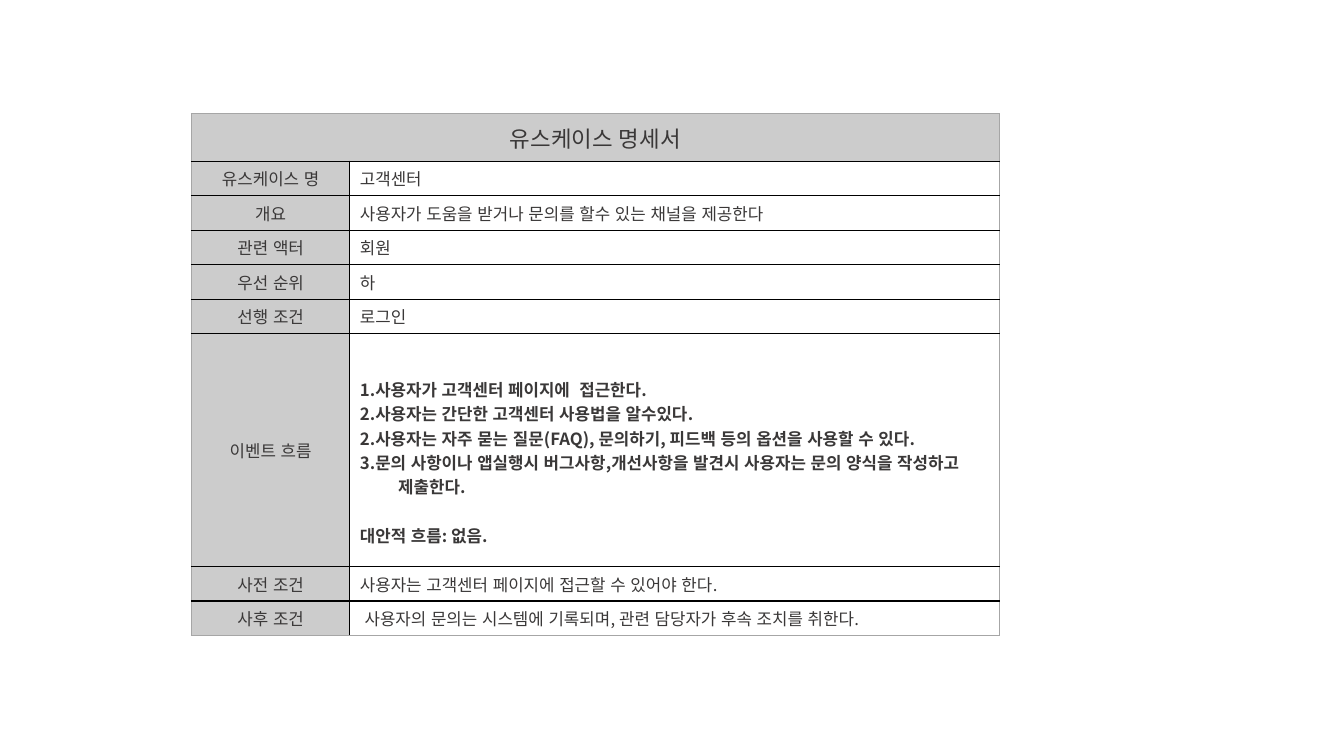
from lxml import etree
from pptx import Presentation
from pptx.dml.color import RGBColor
from pptx.enum.lang import MSO_LANGUAGE_ID
from pptx.enum.text import MSO_ANCHOR, PP_ALIGN
from pptx.oxml.ns import qn
from pptx.util import Inches, Pt

CENTER, LEFT = PP_ALIGN.CENTER, PP_ALIGN.LEFT
MIDDLE = MSO_ANCHOR.MIDDLE
KOREAN = MSO_LANGUAGE_ID.KOREAN

TITLE = "유스케이스 명세서"
EVENT_FLOW = [
    "1.사용자가 고객센터 페이지에  접근한다.",
    "2.사용자는 간단한 고객센터 사용법을 알수있다.",
    "2.사용자는 자주 묻는 질문(FAQ), 문의하기, 피드백 등의 옵션을 사용할 수 있다.",
    "3.문의 사항이나 앱실행시 버그사항,개선사항을 발견시 사용자는 문의 양식을 작성하고 제출한다.",
    "대안적 흐름: 없음.",
]
FIELDS = [
    ("유스케이스 명", "고객센터"),
    ("개요", "사용자가 도움을 받거나 문의를 할수 있는 채널을 제공한다"),
    ("관련 액터", "회원"),
    ("우선 순위", "하"),
    ("선행 조건", "로그인"),
    ("이벤트 흐름", EVENT_FLOW),
    ("사전 조건", "사용자는 고객센터 페이지에 접근할 수 있어야 한다."),
    ("사후 조건", " 사용자의 문의는 시스템에 기록되며, 관련 담당자가 후속 조치를 취한다."),
]

THEME = {
    "font": "Noto Sans CJK KR",
    "text": "3A3838",
    "label_fill": "CCCCCC",
    "value_fill": "FFFFFF",
    "inner_line": "000000",
    "outer_line": "A6A6A6",
    "title_size": 16,
    "body_size": 12,
    "line_gap": 17.4,
}
TABLE_LEFT, TABLE_TOP = 1.9, 1.13
COL_WIDTHS = [1.57, 6.44]
TITLE_HEIGHT, FIELD_HEIGHT, FLOW_HEIGHT = 0.47, 0.34, 2.31
FLOW_INDENT, FLOW_TOP_MARGIN = 0.38, 0.29


def write_line(p, text, align=LEFT, size=THEME["body_size"], bold=False):
    p.alignment = align
    r = p.add_run()
    r.text = text
    style = {"name": THEME["font"], "size": Pt(size), "bold": bold,
             "language_id": KOREAN}
    for name, value in style.items():
        setattr(r.font, name, value)
    r.font.color.rgb = RGBColor.from_string(THEME["text"])
    ea = etree.SubElement(r.font._element, qn("a:ea"))
    ea.set("typeface", THEME["font"])


def write_flow(cell, lines):
    """Numbered steps with hanging indents, then the alternative flow set apart."""
    cell.margin_top = Inches(FLOW_TOP_MARGIN)
    tf = cell.text_frame
    for i, line in enumerate(lines):
        p = tf.paragraphs[0] if i == 0 else tf.add_paragraph()
        write_line(p, line, bold=True)
        pPr = p._p.get_or_add_pPr()
        pPr.set("marL", str(Inches(FLOW_INDENT)))
        pPr.set("indent", str(-Inches(FLOW_INDENT)))
    p.space_before = Pt(THEME["line_gap"])


def style_cell(cell, fill, outer_sides):
    """Borders go before the fill, as the schema orders them."""
    cell.vertical_anchor = MIDDLE
    tcPr = cell._tc.get_or_add_tcPr()
    for side in ("L", "R", "T", "B"):
        color = THEME["outer_line" if side in outer_sides else "inner_line"]
        ln = etree.SubElement(tcPr, qn(f"a:ln{side}"), w=str(Pt(1)))
        solid = etree.SubElement(ln, qn("a:solidFill"))
        etree.SubElement(solid, qn("a:srgbClr"), val=color)
    cell.fill.solid()
    cell.fill.fore_color.rgb = RGBColor.from_string(fill)


prs = Presentation()
prs.slide_width, prs.slide_height = Inches(13.33), Inches(7.5)
s = prs.slides.add_slide(prs.slide_layouts[6])

heights = [TITLE_HEIGHT] + [
    FLOW_HEIGHT if value is EVENT_FLOW else FIELD_HEIGHT for _, value in FIELDS]
table = s.shapes.add_table(
    len(heights), len(COL_WIDTHS), Inches(TABLE_LEFT), Inches(TABLE_TOP),
    Inches(sum(COL_WIDTHS)), Inches(sum(heights))).table
table.first_row = table.horz_banding = False
for column, width in zip(table.columns, COL_WIDTHS):
    column.width = Inches(width)
for row, height in zip(table.rows, heights):
    row.height = Inches(height)

title = table.cell(0, 0)
title.merge(table.cell(0, 1))
write_line(title.text_frame.paragraphs[0], TITLE, CENTER, THEME["title_size"])

for i, (label, value) in enumerate(FIELDS, start=1):
    write_line(table.cell(i, 0).text_frame.paragraphs[0], label, CENTER)
    value_cell = table.cell(i, 1)
    if value is EVENT_FLOW:
        write_flow(value_cell, value)
    else:
        write_line(value_cell.text_frame.paragraphs[0], value)

last = len(heights) - 1
for i in range(len(heights)):
    for j in range(len(COL_WIDTHS)):
        is_label = i == 0 or j == 0
        outer = "LR" if i == 0 else "LR"[j]
        outer += {0: "T", last: "B"}.get(i, "")
        style_cell(table.cell(i, j),
                   THEME["label_fill" if is_label else "value_fill"], outer)

prs.save("out.pptx")
